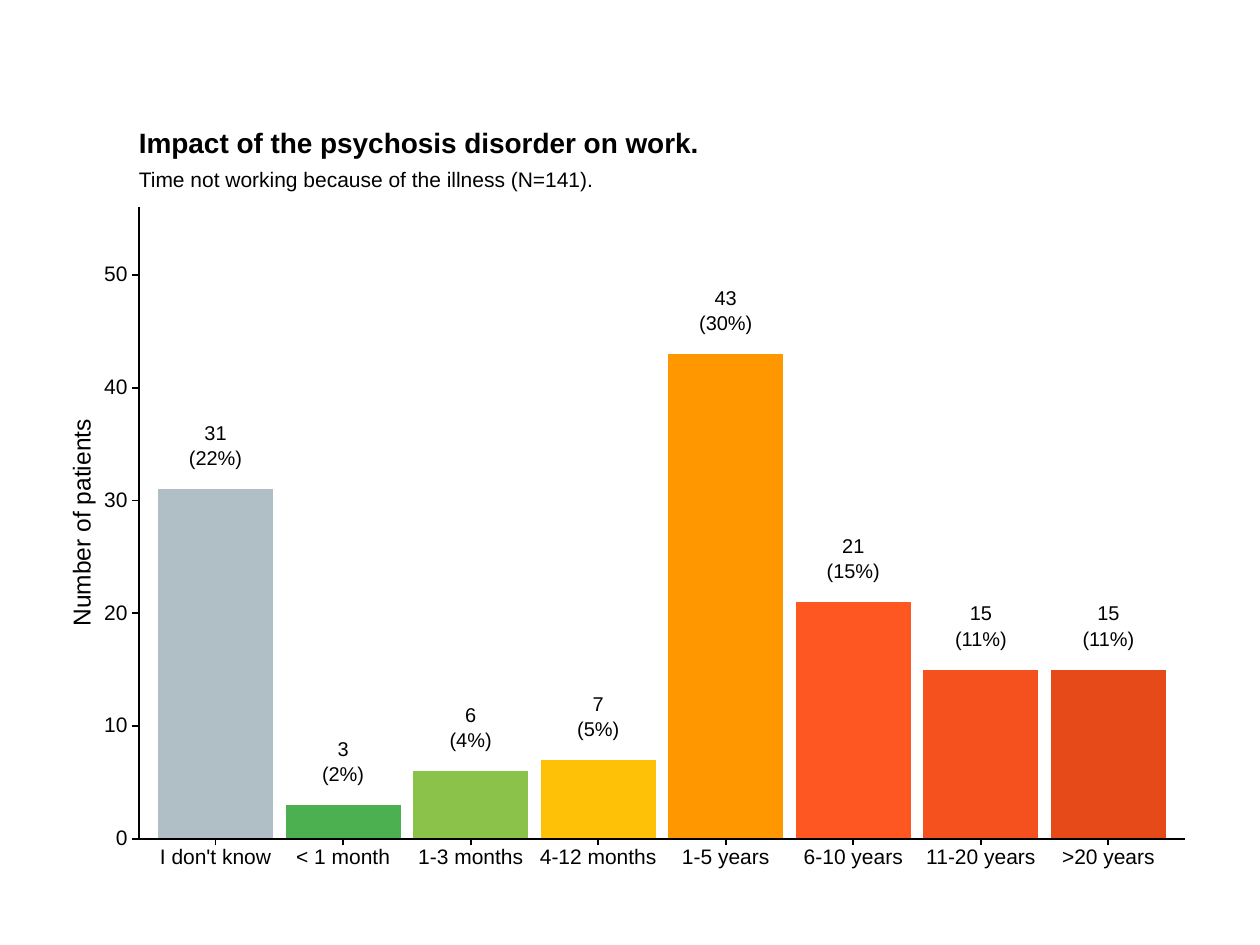
from lxml.etree import SubElement
from pptx import Presentation
from pptx.chart.data import CategoryChartData
from pptx.dml.color import RGBColor
from pptx.enum.chart import XL_CHART_TYPE
from pptx.enum.shapes import MSO_CONNECTOR
from pptx.enum.text import MSO_ANCHOR, PP_ALIGN
from pptx.oxml.ns import qn
from pptx.util import Cm, Pt

BLACK = RGBColor.from_string("000000")
durations = [
    ("I don't know", 31, "22%", "B0BEC5"),
    ("< 1 month", 3, "2%", "4CAF50"),
    ("1-3 months", 6, "4%", "8BC34A"),
    ("4-12 months", 7, "5%", "FFC107"),
    ("1-5 years", 43, "30%", "FF9800"),
    ("6-10 years", 21, "15%", "FF5722"),
    ("11-20 years", 15, "11%", "F4511E"),
    (">20 years", 15, "11%", "E64A19"),
]
frame_left, frame_top, frame_width, frame_height = 1.27, 2.54, 22.86, 15.24
plot_left, plot_top, plot_width, plot_height = 3.06, 4.18, 20.57, 12.73
axis_left, axis_right, axis_bottom = 2.8, 23.88, plot_top + plot_height
axis_max = 56
tick = 0.13
step = plot_width / len(durations)


def add_text(center_x, center_y, width, height, lines, size, align=PP_ALIGN.CENTER, bold=False, spacing=1.0):
    box = slide.shapes.add_textbox(
        Cm(center_x - width / 2), Cm(center_y - height / 2), Cm(width), Cm(height))
    frame = box.text_frame
    frame.margin_left = frame.margin_right = frame.margin_top = frame.margin_bottom = 0
    frame.vertical_anchor = MSO_ANCHOR.MIDDLE
    frame.word_wrap = True
    for index, line in enumerate(lines):
        paragraph = frame.add_paragraph() if index else frame.paragraphs[0]
        paragraph.alignment = align
        paragraph.line_spacing = spacing
        run = paragraph.add_run()
        run.text = line
        run.font.name = "Arial"
        run.font.size = Pt(size)
        run.font.bold = bold
        run.font.color.rgb = BLACK
    return box


def add_line(x1, y1, x2, y2):
    line = slide.shapes.add_connector(MSO_CONNECTOR.STRAIGHT, Cm(x1), Cm(y1), Cm(x2), Cm(y2))
    line.line.color.rgb = BLACK
    line.line.width = Pt(1.07)
    SubElement(line._element.spPr, qn("a:effectLst"))


presentation = Presentation()
presentation.slide_width = Cm(25.4)
presentation.slide_height = Cm(19.05)
slide = presentation.slides.add_slide(presentation.slide_layouts[6])

patient_counts = CategoryChartData()
patient_counts.categories = [label for label, count, share, color in durations]
patient_counts.add_series("Number of patients", [count for label, count, share, color in durations])
chart = slide.shapes.add_chart(
    XL_CHART_TYPE.COLUMN_CLUSTERED,
    Cm(frame_left), Cm(frame_top), Cm(frame_width), Cm(frame_height),
    patient_counts,
).chart
chart.has_legend = False
chart.has_title = False
chart.font.name = "Arial"
chart.font.size = Pt(12)
chart.value_axis.minimum_scale = 0
chart.value_axis.maximum_scale = axis_max
chart.value_axis.major_unit = 10
chart.value_axis.has_major_gridlines = False
chart.value_axis.visible = False
chart.category_axis.visible = False

bars = chart.plots[0]
bars.gap_width = 11
bars.vary_by_categories = False
for index, (label, count, share, color) in enumerate(durations):
    fill = bars.series[0].points[index].format.fill
    fill.solid()
    fill.fore_color.rgb = RGBColor.from_string(color)

plot_area = bars._element.getparent()
layout = plot_area.find(qn("c:layout"))
if layout is None:
    layout = plot_area.makeelement(qn("c:layout"))
    plot_area.insert(0, layout)
manual = SubElement(layout, qn("c:manualLayout"))
for tag, value in (
    ("layoutTarget", "inner"),
    ("xMode", "edge"),
    ("yMode", "edge"),
    ("x", (plot_left - frame_left) / frame_width),
    ("y", (plot_top - frame_top) / frame_height),
    ("w", plot_width / frame_width),
    ("h", plot_height / frame_height),
):
    SubElement(manual, qn(f"c:{tag}")).set("val", str(value))

add_line(axis_left, axis_bottom, axis_left, plot_top)
add_line(axis_left, axis_bottom, axis_right, axis_bottom)
for value in range(0, axis_max, 10):
    y = axis_bottom - plot_height * value / axis_max
    add_line(axis_left - tick, y, axis_left, y)
    add_text(2.07, y - 0.03, 1, 0.5, [str(value)], 12, PP_ALIGN.RIGHT)

for index, (label, count, share, color) in enumerate(durations):
    x = plot_left + (index + 0.5) * step
    bar_top = axis_bottom - plot_height * count / axis_max
    add_line(x, axis_bottom + tick, x, axis_bottom)
    add_text(x, axis_bottom + 0.34, step, 0.5, [label], 12)
    add_text(x, bar_top - 0.45 * 2.54, step, 0.4, [str(count)], 11.4)
    add_text(x, bar_top - 0.25 * 2.54, step, 0.4, [f"({share})"], 11.4)

add_text(1.63, 10.54, 5, 0.6, ["Number of patients"], 14).rotation = 270
add_text(10.3, 2.86, 15, 0.6, ["Impact of the psychosis disorder on work."], 16, PP_ALIGN.LEFT, True)
add_text(10.3, 3.61, 15, 0.5, ["Time not working because of the illness (N=141)."], 12, PP_ALIGN.LEFT)

presentation.save("out.pptx")
